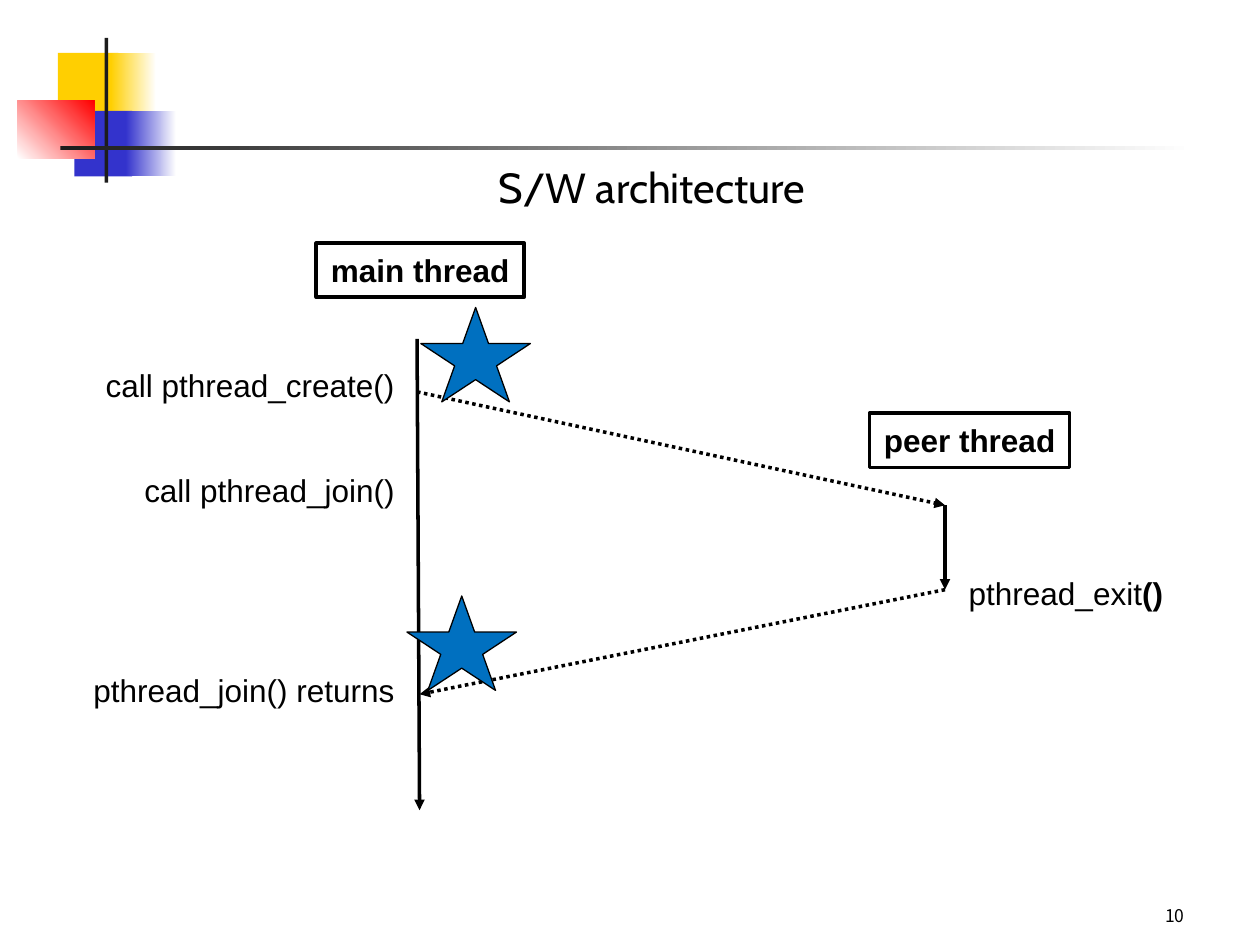
import dataclasses

import lxml.etree
import pptx
import pptx.dml.color
import pptx.enum.dml
import pptx.enum.shapes
import pptx.enum.text
import pptx.oxml.ns
import pptx.util

Inches = pptx.util.Inches
Pt = pptx.util.Pt
Kind = pptx.enum.shapes.MSO_SHAPE
Align = pptx.enum.text.PP_ALIGN
Anchor = pptx.enum.text.MSO_ANCHOR


@dataclasses.dataclass(frozen=True)
class Theme:
    ink: str = "000000"
    paper: str = "FFFFFF"
    rule: str = "1C1C1C"
    yellow: str = "FFCF01"
    blue: str = "3333CC"
    red: str = "FF0000"
    star: str = "0070C0"
    title_font: str = "Cabin"
    body_font: str = "Arial"
    number_font: str = "Noto Sans CJK KR"
    title_size: float = 24
    body_size: float = 18
    number_size: float = 10
    line_width: float = 2
    star_line_width: float = 0.75


THEME = Theme()


def rgb(value):
    return pptx.dml.color.RGBColor.from_string(value)


def write(box, spans, align=Align.LEFT, anchor=Anchor.TOP,
          font=THEME.body_font, size=THEME.body_size):
    """Fill a box with one paragraph of (text, bold) spans."""
    frame = box.text_frame
    frame.word_wrap = False
    frame.auto_size = pptx.enum.text.MSO_AUTO_SIZE.NONE
    frame.vertical_anchor = anchor
    para = frame.paragraphs[0]
    para.alignment = align
    for text, bold in spans:
        span = para.add_run()
        span.text = text
        span.font.name = font
        span.font.size = Pt(size)
        span.font.bold = bold
        span.font.color.rgb = rgb(THEME.ink)


def place(box, left, top, width, height):
    box.left, box.top = Inches(left), Inches(top)
    box.width, box.height = Inches(width), Inches(height)


def add_label(page, area, spans, **style):
    box = page.shapes.add_textbox(*map(Inches, area))
    write(box, spans, **style)


def add_block(page, kind, area, colors=(), angle=0, line_width=None):
    """Add a shape with no fill, one colour, or a two-colour gradient."""
    block = page.shapes.add_shape(kind, *map(Inches, area))
    block.shadow.inherit = False
    if len(colors) == 2:
        block.fill.gradient()
        block.fill.gradient_angle = angle
        for stop, color in zip(block.fill.gradient_stops, colors):
            stop.color.rgb = rgb(color)
    elif colors:
        block.fill.solid()
        block.fill.fore_color.rgb = rgb(colors[0])
    else:
        block.fill.background()
    if line_width:
        block.line.color.rgb = rgb(THEME.ink)
        block.line.width = Pt(line_width)
    else:
        block.line.fill.background()
    return block


def add_arrow(page, start, end, dotted=False):
    arrow = page.shapes.add_connector(
        pptx.enum.shapes.MSO_CONNECTOR.STRAIGHT, *map(Inches, start + end))
    arrow.line.color.rgb = rgb(THEME.ink)
    arrow.line.width = Pt(THEME.line_width)
    if dotted:
        arrow.line.dash_style = pptx.enum.dml.MSO_LINE.ROUND_DOT
    qn = pptx.oxml.ns.qn
    properties = arrow.element.spPr
    head = lxml.etree.SubElement(properties.find(qn("a:ln")), qn("a:tailEnd"))
    head.set("type", "triangle")
    lxml.etree.SubElement(properties, qn("a:effectLst"))


def add_decoration(page):
    for area, colors, angle in (
        ((0.46, 0.42, 0.48, 0.52), (THEME.yellow,), 0),
        ((0.88, 0.42, 0.36, 0.52), (THEME.yellow, THEME.paper), 0),
        ((0.59, 0.88, 0.46, 0.52), (THEME.blue,), 0),
        ((1, 0.88, 0.4, 0.52), (THEME.blue, THEME.paper), 0),
        ((0.14, 0.8, 0.61, 0.46), (THEME.paper, THEME.red), 45),
        ((0.83, 0.3, 0.03, 1.15), (THEME.rule,), 0),
        ((0.48, 1.16, 9, 0.03), (THEME.rule, THEME.paper), 0),
    ):
        add_block(page, Kind.RECTANGLE, area, colors, angle)


def add_threads(page):
    # Thread names
    for name, area in (("main thread", (2.51, 1.93, 1.65, 0.43)),
                       ("peer thread", (6.9, 3.28, 1.59, 0.43))):
        box = add_block(page, Kind.RECTANGLE, area,
                        line_width=THEME.line_width)
        write(box, [(name, True)], Align.CENTER, Anchor.MIDDLE)

    # Lifelines, then the create and join hand-overs
    create, join = (3.31, 3.11), (3.33, 5.51)
    peer_start, peer_end = (7.5, 4.01), (7.5, 4.68)
    add_arrow(page, (3.31, 2.69), (3.33, 6.43))
    add_arrow(page, peer_start, peer_end)
    add_arrow(page, create, peer_start, dotted=True)
    add_arrow(page, peer_end, join, dotted=True)


def add_calls(page):
    right_edge = 3.23
    for text, top, width in (("call pthread_create()", 2.86, 2.49),
                             ("call pthread_join()", 3.69, 2.19),
                             ("pthread_join() returns", 5.28, 2.75)):
        add_label(page, (right_edge - width, top, width, 0.4),
                  [(text, False)], align=Align.RIGHT)
    add_label(page, (7.59, 4.51, 1.74, 0.4),
              [("pthread_exit", False), ("()", True)], anchor=Anchor.MIDDLE)


def main():
    deck = pptx.Presentation()
    deck.slide_width, deck.slide_height = Inches(10), Inches(7.5)
    page = deck.slides.add_slide(deck.slide_layouts[5])

    # Frame of the page
    add_decoration(page)
    add_label(page, (7.42, 7.06, 2.08, 0.34), [("10", False)],
              align=Align.RIGHT, anchor=Anchor.BOTTOM,
              font=THEME.number_font, size=THEME.number_size)
    title = page.shapes.title
    place(title, 3.86, 1.23, 3.11, 0.5)
    write(title, [("S/W architecture", False)],
          font=THEME.title_font, size=THEME.title_size)

    # Thread diagram
    add_threads(page)
    add_calls(page)
    for left, top in ((3.34, 2.44), (3.23, 4.73)):
        add_block(page, Kind.STAR_5_POINT, (left, top, 0.87, 0.75),
                  (THEME.star,), line_width=THEME.star_line_width)

    deck.save("out.pptx")


main()
